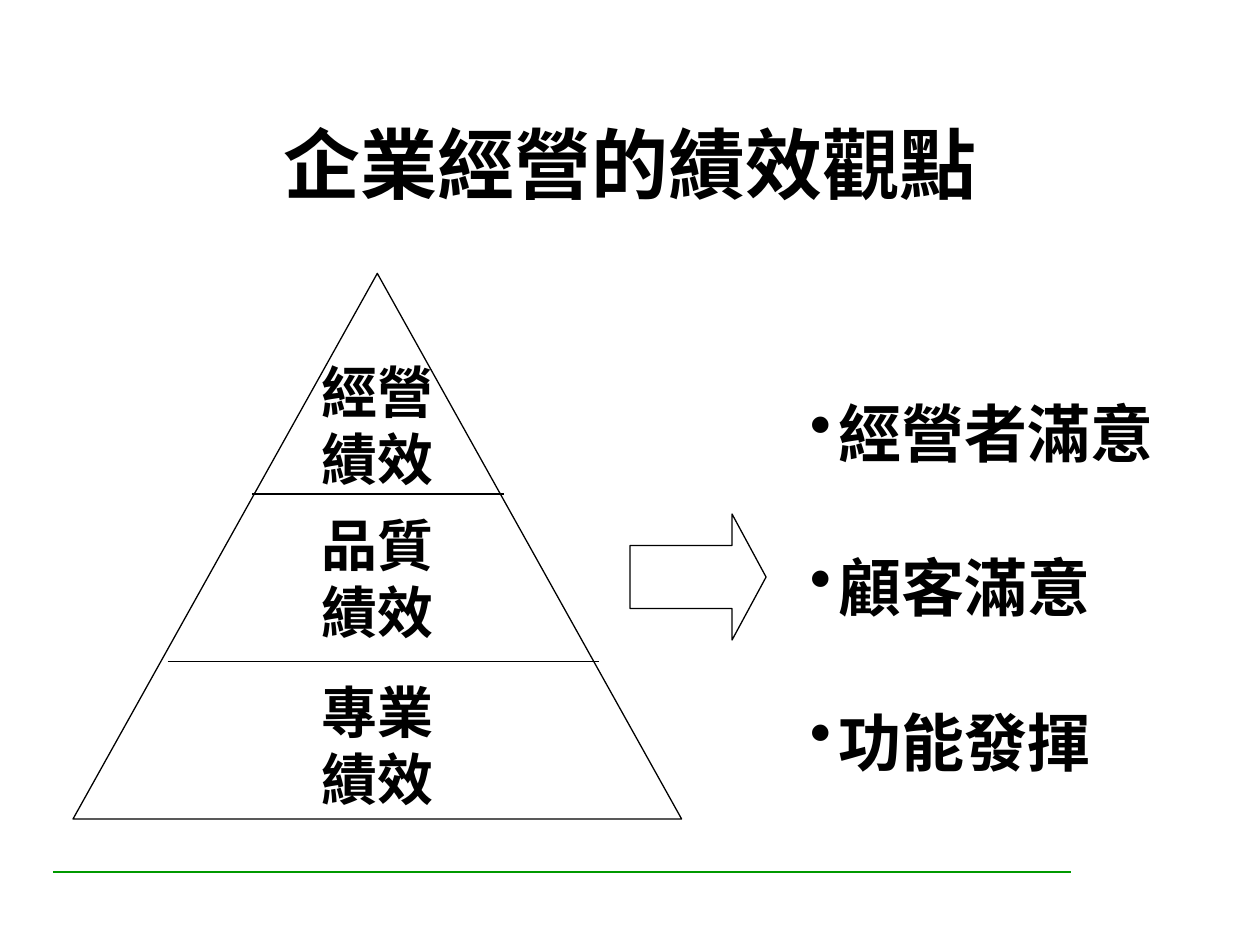
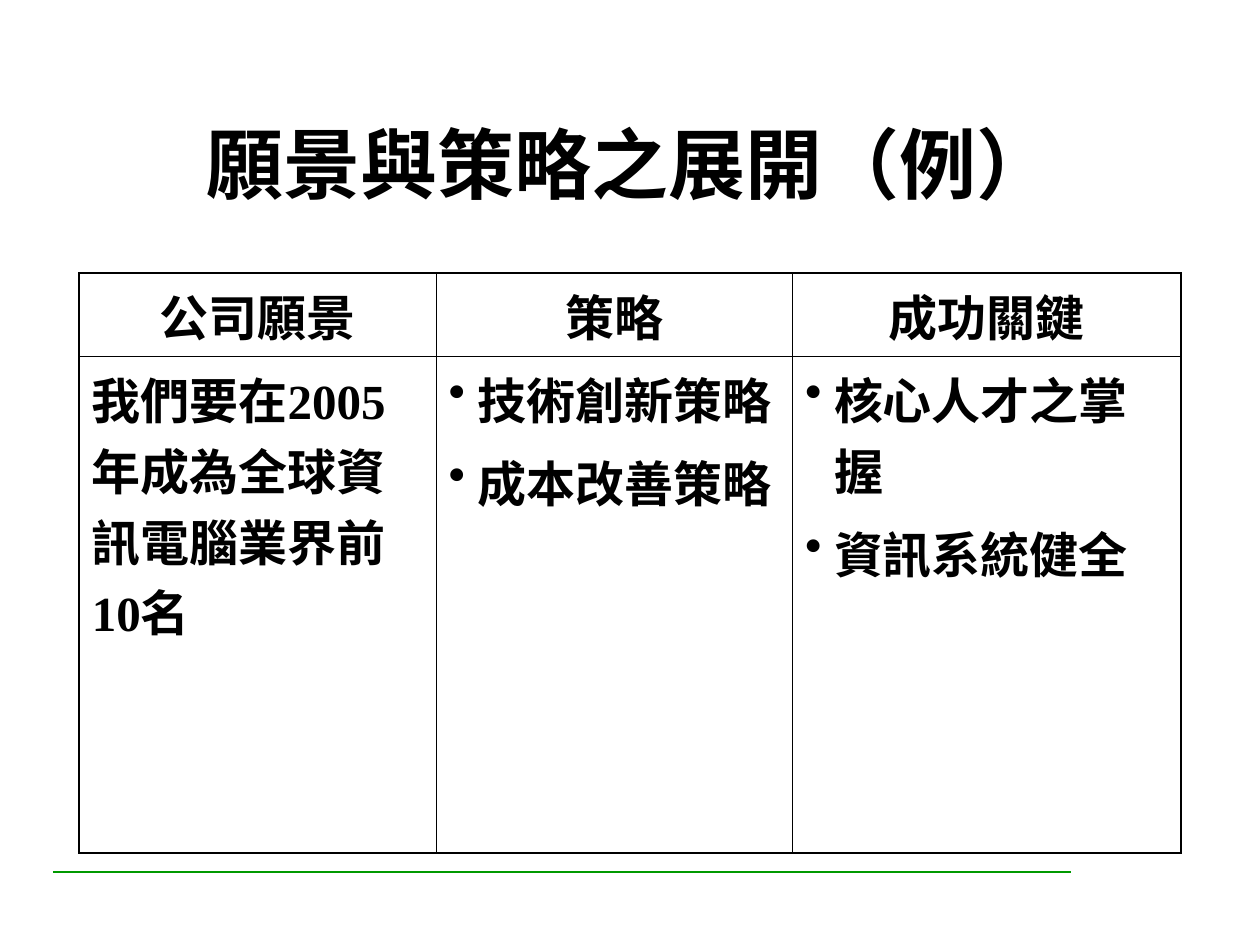
from lxml.etree import SubElement
from pptx import Presentation
from pptx.dml.color import RGBColor
from pptx.enum.shapes import MSO_CONNECTOR as Connector, MSO_SHAPE as Shape
from pptx.enum.text import MSO_ANCHOR as Anchor, PP_ALIGN as Align
from pptx.oxml import parse_xml
from pptx.oxml.ns import nsdecls, qn
from pptx.util import Inches, Pt

PERFORMANCE_TITLE = "企業經營的績效觀點"
# Each level: label, top of its text, and the divider below it (left, right, height)
PYRAMID_LEVELS = [
    ("經營績效", 2.79, (2, 4, 3.92)),
    ("品質績效", 4, (1.33, 4.75, 5.25)),
    ("專業績效", 5.33, None),
]
PYRAMID_LEFT, PYRAMID_WIDTH, LABEL_WIDTH = 0.58, 4.83, 1.42
OUTCOMES = ["經營者滿意", "顧客滿意", "功能發揮"]

STRATEGY_TITLE = "願景與策略之展開（例）"
# Each column: heading, width, entries, bulleted
STRATEGY_COLUMNS = [
    ("公司願景", 2.83, ["我們要在2005年成為全球資訊電腦業界前10名"], False),
    ("策略", 2.83, ["技術創新策略", "成本改善策略"], True),
    ("成功關鍵", 3.08, ["核心人才之掌握", "資訊系統健全"], True),
]
ROW_HEIGHTS = [0.66, 3.94]

BLACK = RGBColor(0, 0, 0)
GREEN = RGBColor(0, 0x99, 0)
LATIN, CJK = "Times New Roman", "Noto Sans CJK SC"
INSET_X, INSET_Y = Inches(0.1), Inches(0.05)
BULLET_INDENT = Inches(0.23)
OUTER_LINE, INNER_LINE = 1.25, 0.45


def write(frame, lines, *, size, font=LATIN, align=Align.LEFT, anchor=Anchor.TOP,
          bullet=False, gap=0):
    """Fill a text frame with one bold paragraph per line."""
    frame.word_wrap = True
    frame.vertical_anchor = anchor
    for index, line in enumerate(lines):
        paragraph = frame.add_paragraph() if index else frame.paragraphs[0]
        paragraph.alignment = align
        paragraph.space_before = Pt(gap if index else 0)
        if bullet:
            properties = paragraph._p.get_or_add_pPr()
            properties.set("marL", str(BULLET_INDENT))
            properties.set("indent", str(-BULLET_INDENT))
            SubElement(properties, qn("a:buChar")).set("char", "•")
        run = paragraph.add_run()
        run.text = line
        run.font.size, run.font.bold, run.font.name = Pt(size), True, font
        run.font.color.rgb = BLACK
        SubElement(run._r.get_or_add_rPr(), qn("a:ea")).set("typeface", CJK)


def add_text(slide, box, lines, **text_format):
    frame = slide.shapes.add_textbox(*map(Inches, box)).text_frame
    frame.margin_left = frame.margin_right = INSET_X
    frame.margin_top = frame.margin_bottom = INSET_Y
    write(frame, lines, **text_format)


def add_rule(slide, left, right, y, color=BLACK, width=0.75):
    rule = slide.shapes.add_connector(
        Connector.STRAIGHT, *map(Inches, (left, y, right, y)))
    rule.line.color.rgb, rule.line.width = color, Pt(width)
    SubElement(rule._element.spPr, qn("a:effectLst"))


def add_outline(slide, kind, box, adjustments):
    outline = slide.shapes.add_shape(kind, *map(Inches, box))
    for index, value in enumerate(adjustments):
        outline.adjustments[index] = value
    outline.shadow.inherit = False
    outline.fill.background()
    outline.line.color.rgb, outline.line.width = BLACK, Pt(0.75)


def set_borders(cell, row, column, last_row, last_column):
    """Draw heavy lines on the table's rim and thin ones inside."""
    on_rim = {"L": column == 0, "R": column == last_column,
              "T": row == 0, "B": row == last_row}
    properties = cell._tc.get_or_add_tcPr()
    for index, (side, rim) in enumerate(on_rim.items()):
        width = Pt(OUTER_LINE if rim else INNER_LINE)
        properties.insert(index, parse_xml(
            f'<a:ln{side} {nsdecls("a")} w="{width}"><a:solidFill>'
            f'<a:srgbClr val="{BLACK}"/></a:solidFill></a:ln{side}>'))


def add_titled_slide(deck, title):
    slide = deck.slides.add_slide(deck.slide_layouts[6])
    add_rule(slide, 0.42, 8.5, 6.92, GREEN, 1.5)
    add_text(slide, (0.81, 0.73, 8.38, 1.13), [title], size=44, font=CJK,
             align=Align.CENTER, anchor=Anchor.MIDDLE)
    return slide


def build_performance(deck):
    slide = add_titled_slide(deck, PERFORMANCE_TITLE)
    add_outline(slide, Shape.ISOSCELES_TRIANGLE,
                (PYRAMID_LEFT, 2.17, PYRAMID_WIDTH, 4.33), [0.5])
    label_left = PYRAMID_LEFT + (PYRAMID_WIDTH - LABEL_WIDTH) / 2
    for label, top, divider in PYRAMID_LEVELS:
        if divider:
            add_rule(slide, *divider)
        add_text(slide, (label_left, top, LABEL_WIDTH, 1.17), [label], size=32,
                 align=Align.CENTER)
    add_outline(slide, Shape.RIGHT_ARROW, (5, 4.08, 1.08, 1), [0.5, 0.27])
    add_text(slide, (6.33, 3.08, 3.08, 3.15), OUTCOMES, size=36,
             bullet=True, gap=45)


def build_strategy(deck):
    slide = add_titled_slide(deck, STRATEGY_TITLE)
    widths = [width for _, width, _, _ in STRATEGY_COLUMNS]
    table = slide.shapes.add_table(
        len(ROW_HEIGHTS), len(widths), Inches(0.63), Inches(2.17),
        Inches(sum(widths)), Inches(sum(ROW_HEIGHTS))).table
    table.first_row = table.horz_banding = False
    for row, height in zip(table.rows, ROW_HEIGHTS):
        row.height = Inches(height)
    for column, (heading, width, entries, bulleted) in enumerate(STRATEGY_COLUMNS):
        table.columns[column].width = Inches(width)
        contents = [
            ([heading], Anchor.MIDDLE, dict(align=Align.CENTER)),
            (entries, Anchor.TOP, dict(bullet=bulleted, gap=7)),
        ]
        for row, (lines, anchor, text_format) in enumerate(contents):
            cell = table.cell(row, column)
            cell.fill.background()
            cell.margin_left = cell.margin_right = INSET_X
            cell.margin_top = cell.margin_bottom = INSET_Y
            write(cell.text_frame, lines, size=28, **text_format)
            cell.vertical_anchor = anchor
            set_borders(cell, row, column, len(ROW_HEIGHTS) - 1, len(widths) - 1)


def main():
    deck = Presentation()
    deck.slide_width, deck.slide_height = Inches(10), Inches(7.5)
    build_performance(deck)
    build_strategy(deck)
    deck.save("out.pptx")


if __name__ == "__main__":
    main()
